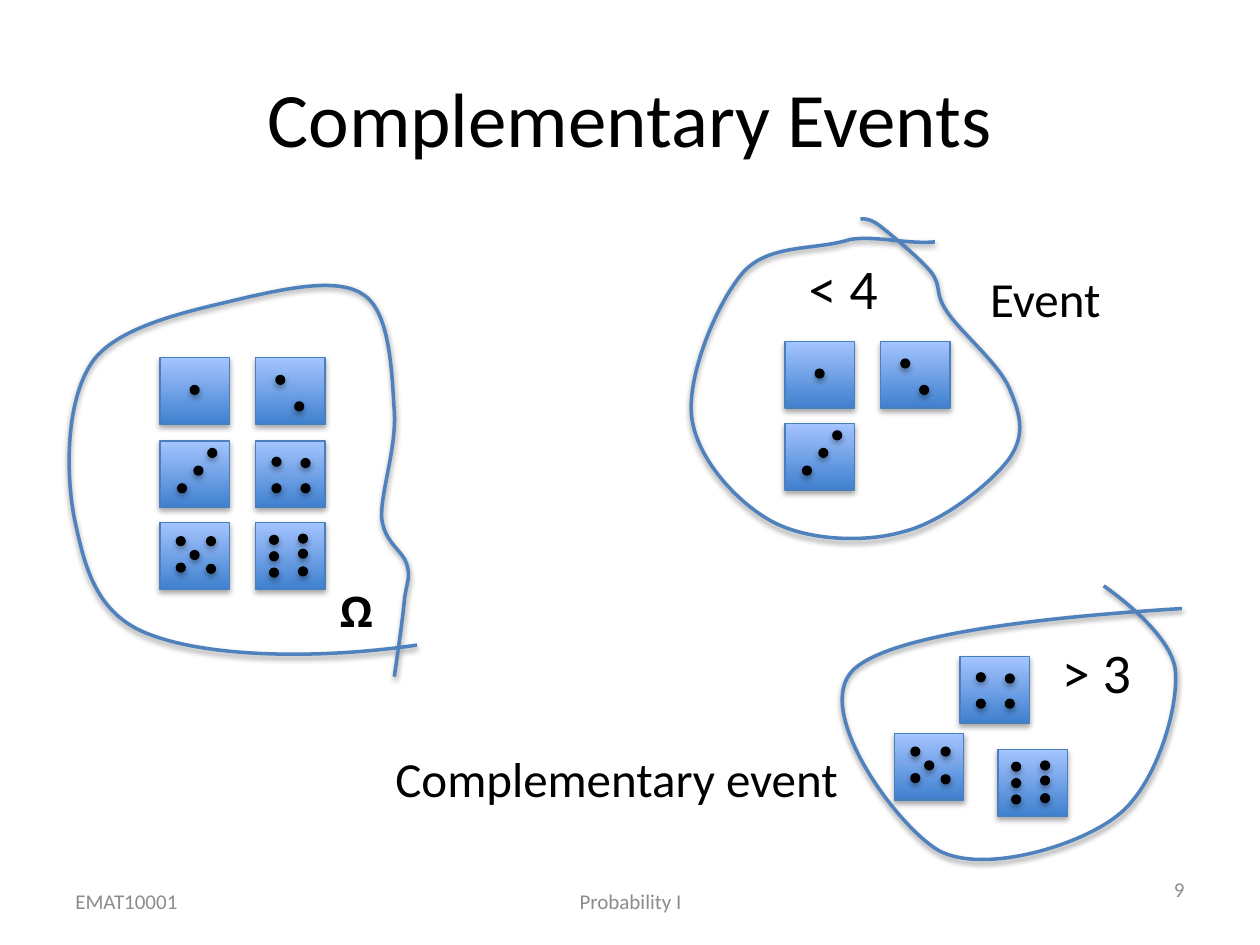
"""Build the Complementary Events slide with its dice sets and outlines."""

from dataclasses import dataclass

import lxml.etree
import pptx
import pptx.dml.color
import pptx.enum.shapes
import pptx.enum.text
import pptx.oxml
import pptx.oxml.ns
import pptx.shapes.autoshape
import pptx.shapes.shapetree
import pptx.util

EMU_PER_PX = 9144
DIE_WIDTH, DIE_HEIGHT, PIP_SIZE = 55, 53, 7
SHAPE = pptx.enum.shapes.MSO_SHAPE
ALIGN = pptx.enum.text.PP_ALIGN
ANCHOR = pptx.enum.text.MSO_ANCHOR
Point = tuple[int, int]


@dataclass(frozen=True)
class Theme:
    black: str = "000000"
    grey: str = "8C8C8C"
    die_bottom: str = "3F80CE"
    die_top: str = "A4C4FF"
    die_line: str = "4B7EBC"
    outline: str = "4F81BD"
    font: str = "Calibri"
    symbol_font: str = "Open Sans"
    title_size: int = 44
    condition_size: int = 32
    label_size: int = 28
    symbol_size: int = 24
    footer_size: int = 12
    thin: float = 0.75
    thick: float = 2


THEME = Theme()


@dataclass(frozen=True)
class Label:
    text: str
    left: int
    top: int
    width: int
    height: int
    size: int
    font: str = THEME.font
    color: str = THEME.black
    bold: bool = False
    align: ALIGN = ALIGN.LEFT
    anchor: ANCHOR = ANCHOR.TOP
    wrap: bool = False


@dataclass(frozen=True)
class Die:
    value: int
    left: int
    top: int


@dataclass(frozen=True)
class Outline:
    left: int
    top: int
    right: int
    bottom: int
    points: list[Point]


@dataclass(frozen=True)
class EventSet:
    dice: list[Die]
    outline: Outline
    labels: list[Label]


PIPS: dict[int, list[Point]] = {
    1: [(24, 22)],
    2: [(16, 14), (31, 35)],
    3: [(38, 6), (27, 20), (14, 34)],
    4: [(13, 13), (36, 14), (13, 34), (36, 34)],
    5: [(13, 11), (37, 11), (24, 22), (13, 32), (37, 33)],
    6: [(11, 10), (34, 9), (11, 23), (34, 21), (11, 36), (34, 35)],
}


def footer(text: str, left: int, top: int, width: int, align: ALIGN) -> Label:
    return Label(text, left, top, width, 40, THEME.footer_size, color=THEME.grey,
                 align=align, anchor=ANCHOR.MIDDLE, wrap=True)


def dice_grid(values: range, left: int, top: int) -> list[Die]:
    return [Die(value, left + 76 * (index % 2), round(top + 65.5 * (index // 2)))
            for index, value in enumerate(values)]


PAGE_LABELS = [
    Label("Complementary Events", 50, 30, 900, 125, THEME.title_size,
          align=ALIGN.CENTER, anchor=ANCHOR.MIDDLE, wrap=True),
    footer("EMAT10001", 50, 695, 233, ALIGN.LEFT),
    footer("Probability I", 342, 695, 317, ALIGN.CENTER),
    footer("9", 717, 686, 233, ALIGN.RIGHT),
]

EVENT_SETS = [
    EventSet(
        dice_grid(range(1, 7), 127, 284),
        Outline(55, 227, 331, 537, [
            (331, 512), (249, 524), (165, 521), (120, 504), (75, 488), (67, 448), (59, 411),
            (52, 375), (52, 315), (75, 285), (98, 256), (160, 245), (196, 236),
            (232, 228), (271, 220), (290, 235), (310, 250), (311, 297), (313, 326),
            (315, 355), (302, 391), (303, 411), (305, 431), (320, 437), (323, 448),
            (326, 459), (323, 461), (321, 476), (320, 490), (313, 537), (313, 537)]),
        [Label("Ω", 260, 460, 66, 50, THEME.symbol_size, THEME.symbol_font,
               bold=True, wrap=True)],
    ),
    EventSet(
        dice_grid(range(1, 4), 623, 271),
        Outline(549, 174, 809, 428, [
            (742, 192), (721, 194), (696, 187), (675, 190), (647, 199), (611, 193), (590, 216),
            (569, 240), (545, 298), (549, 331), (553, 364), (585, 399), (613, 414),
            (641, 429), (686, 431), (717, 422), (749, 414), (787, 383), (801, 364),
            (815, 344), (809, 327), (801, 308), (793, 289), (762, 263), (752, 248),
            (741, 232), (748, 228), (739, 216), (730, 205), (707, 186), (698, 179),
            (689, 172), (683, 174), (683, 174)]),
        [Label("< 4", 632, 196, 75, 64, THEME.condition_size),
         Label("Event", 776, 208, 110, 57, THEME.label_size)],
    ),
    EventSet(
        [Die(4, 762, 521), Die(5, 710, 582), Die(6, 792, 595)],
        Outline(668, 465, 938, 682, [
            (938, 483), (858, 488), (709, 500), (677, 532), (645, 564), (711, 655), (745, 675),
            (780, 694), (855, 672), (886, 648), (917, 625), (935, 564), (933, 534),
            (932, 503), (876, 465), (876, 465)]),
        [Label("> 3", 833, 501, 75, 64, THEME.condition_size),
         Label("Complementary event", 304, 589, 377, 57, THEME.label_size)],
    ),
]


def px(length: int) -> int:
    return length * EMU_PER_PX


def rgb(color: str) -> pptx.dml.color.RGBColor:
    return pptx.dml.color.RGBColor.from_string(color)


def style_edge(shape: pptx.shapes.autoshape.Shape, color: str, width: float,
               shadow_distance: int, shadow_alpha: int) -> None:
    shape.line.color.rgb = rgb(color)
    shape.line.width = pptx.util.Pt(width)
    shape.shadow.inherit = False
    effects = shape.element.spPr.find(pptx.oxml.ns.qn("a:effectLst"))
    effects.append(pptx.oxml.parse_xml(
        f'<a:outerShdw {pptx.oxml.ns.nsdecls("a")} blurRad="40000" dist="{shadow_distance}" '
        f'dir="5400000" rotWithShape="0"><a:srgbClr val="{THEME.black}">'
        f'<a:alpha val="{shadow_alpha * 1000}"/></a:srgbClr></a:outerShdw>'))


def draw_label(shapes: pptx.shapes.shapetree.SlideShapes, label: Label) -> None:
    box = shapes.add_textbox(*map(px, (label.left, label.top, label.width, label.height)))
    frame = box.text_frame
    frame.word_wrap = label.wrap
    frame.vertical_anchor = label.anchor
    paragraph = frame.paragraphs[0]
    paragraph.alignment = label.align
    run = paragraph.add_run()
    run.text = label.text
    run.font.name = label.font
    run.font.size = pptx.util.Pt(label.size)
    run.font.bold = label.bold
    run.font.color.rgb = rgb(label.color)


def draw_die(shapes: pptx.shapes.shapetree.GroupShapes, die: Die) -> None:
    face = shapes.add_shape(SHAPE.RECTANGLE, *map(px, (die.left, die.top, DIE_WIDTH, DIE_HEIGHT)))
    face.fill.gradient()
    face.fill.gradient_angle = 90
    for stop, color in zip(face.fill.gradient_stops, (THEME.die_bottom, THEME.die_top)):
        stop.color.rgb = rgb(color)
    style_edge(face, THEME.die_line, THEME.thin, 23000, 35)
    for left, top in PIPS[die.value]:
        pip = shapes.add_shape(
            SHAPE.OVAL, *map(px, (die.left + left, die.top + top, PIP_SIZE, PIP_SIZE)))
        pip.fill.solid()
        pip.fill.fore_color.rgb = rgb(THEME.black)
        style_edge(pip, THEME.black, THEME.thin, 23000, 35)


def draw_outline(shapes: pptx.shapes.shapetree.GroupShapes, outline: Outline) -> None:
    qn = pptx.oxml.ns.qn
    builder = shapes.build_freeform(px(outline.left), px(outline.top))
    builder.add_line_segments([(px(outline.right), px(outline.bottom))], close=False)
    shape = builder.convert_to_shape()
    contour = shape.element.spPr.find(f".//{qn('a:path')}")
    for command in list(contour):
        contour.remove(command)
    for index, (x, y) in enumerate(outline.points):
        if index % 3 == 1 or index == 0:
            command = lxml.etree.SubElement(contour, qn("a:cubicBezTo" if index else "a:moveTo"))
        lxml.etree.SubElement(command, qn("a:pt"), x=str(px(x - outline.left)),
                              y=str(px(y - outline.top)))
    shape.fill.background()
    style_edge(shape, THEME.outline, THEME.thick, 20000, 38)


def main() -> None:
    presentation = pptx.Presentation()
    presentation.slide_width, presentation.slide_height = px(1000), px(750)
    slide = presentation.slides.add_slide(presentation.slide_layouts[6])
    for label in PAGE_LABELS:
        draw_label(slide.shapes, label)
    for event_set in EVENT_SETS:
        shapes = slide.shapes.add_group_shape().shapes
        for die in event_set.dice:
            draw_die(shapes, die)
        draw_outline(shapes, event_set.outline)
        for label in event_set.labels:
            draw_label(shapes, label)
    presentation.save("out.pptx")


if __name__ == "__main__":
    main()
